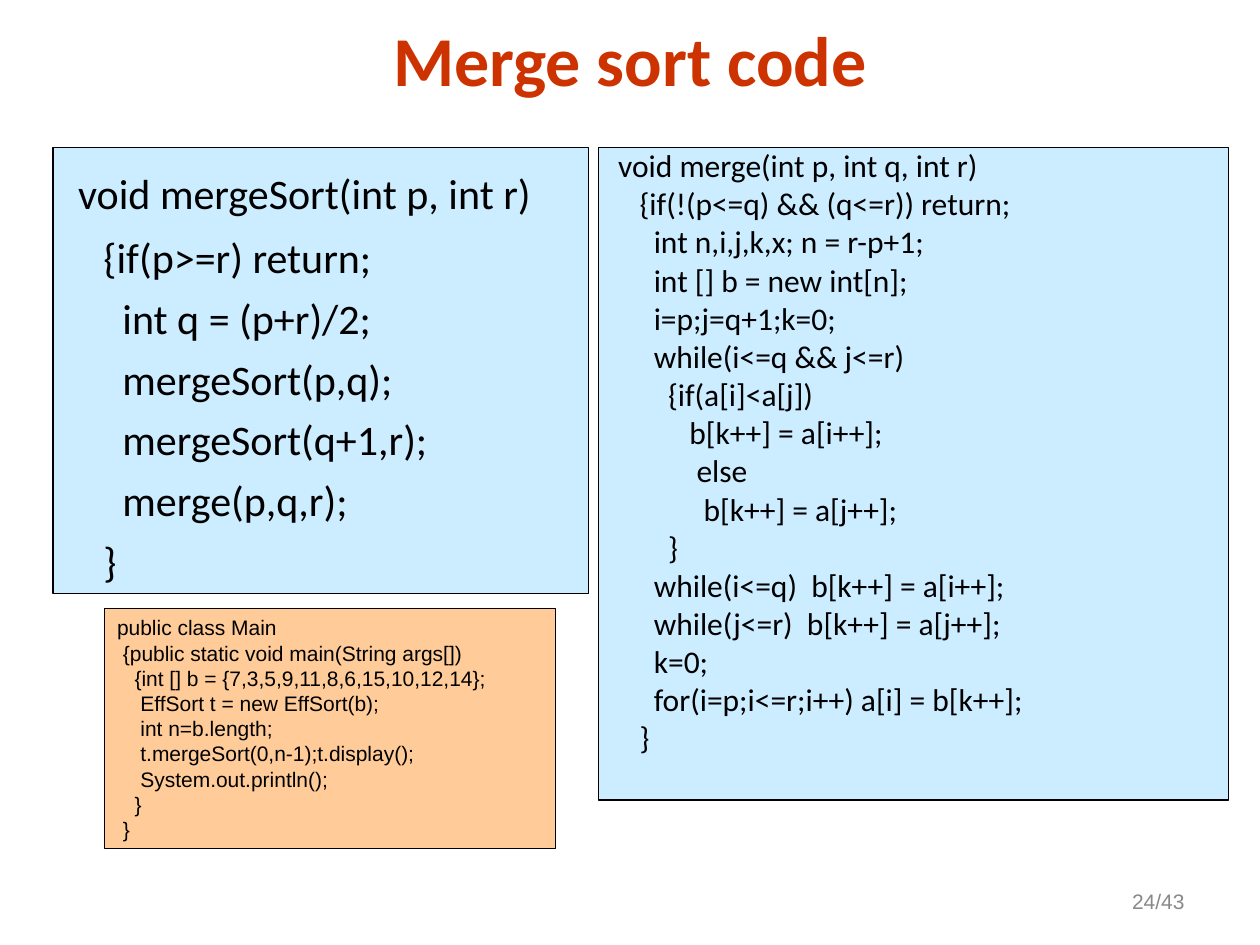
from pptx import Presentation
from pptx.dml.color import RGBColor
from pptx.enum.shapes import MSO_SHAPE
from pptx.enum.text import MSO_ANCHOR, PP_ALIGN
from pptx.util import Cm, Pt

RECTANGLE = MSO_SHAPE.RECTANGLE
TOP, MIDDLE = MSO_ANCHOR.TOP, MSO_ANCHOR.MIDDLE
LEFT, CENTER, RIGHT = PP_ALIGN.LEFT, PP_ALIGN.CENTER, PP_ALIGN.RIGHT

COLORS = {
    "heading": "CC3300",
    "method": "CCECFF",
    "main": "FFCC99",
    "ink": "000000",
    "page": "898989",
}
SPACE_WIDTH = {"Calibri": 0.226, "Arial": 0.278}

MERGE_SORT = """void mergeSort(int p, int r)
    {if(p>=r) return;
      int q = (p+r)/2;
      mergeSort(p,q);
      mergeSort(q+1,r);
      merge(p,q,r);
    }"""

MERGE = """ void merge(int p, int q, int r)
    {if(!(p<=q) && (q<=r)) return;
      int n,i,j,k,x; n = r-p+1;
      int [] b = new int[n];
      i=p;j=q+1;k=0;
      while(i<=q && j<=r)
        {if(a[i]<a[j])
           b[k++] = a[i++];
            else
             b[k++] = a[j++];
        }
      while(i<=q)  b[k++] = a[i++];
      while(j<=r)  b[k++] = a[j++];
      k=0;
      for(i=p;i<=r;i++) a[i] = b[k++];
    }"""

MAIN = """public class Main
 {public static void main(String args[])
   {int [] b = {7,3,5,9,11,8,6,15,10,12,14};
    EffSort t = new EffSort(b);
    int n=b.length;
    t.mergeSort(0,n-1);t.display();
    System.out.println();
   }
 }"""


def color(name):
    return RGBColor.from_string(COLORS[name])


def add_run(paragraph, text, size, font, ink="ink", bold=False):
    run = paragraph.add_run()
    run.text = text
    run.font.size = Pt(size)
    run.font.name = font
    run.font.bold = bold
    run.font.color.rgb = color(ink)


def add_label(slide, box, text, size, font, ink, align, bold=False):
    label = slide.shapes.add_textbox(*map(Cm, box)).text_frame
    label.word_wrap = True
    label.vertical_anchor = MIDDLE
    line = label.paragraphs[0]
    line.alignment = align
    add_run(line, text, size, font, ink, bold)


def add_code_panel(slide, box, code, size, font, fill,
                   before=0, spacing=1.0, lead_size=None):
    panel = slide.shapes.add_shape(RECTANGLE, *map(Cm, box))
    panel.shadow.inherit = False
    panel.fill.solid()
    panel.fill.fore_color.rgb = color(fill)
    panel.line.color.rgb = color("ink")
    panel.line.width = Pt(0.75)
    listing = panel.text_frame
    listing.word_wrap = True
    listing.vertical_anchor = TOP
    for number, statement in enumerate(code.split("\n")):
        line = listing.add_paragraph() if number else listing.paragraphs[0]
        line.alignment = LEFT
        line.space_before = Pt(before)
        line.line_spacing = spacing
        text = statement.lstrip()
        depth = len(statement) - len(text)
        indent = Pt(round(depth * size * SPACE_WIDTH[font], 2))
        line._p.get_or_add_pPr().set("marL", str(indent))
        if lead_size and number == 0:
            add_run(line, " ", lead_size, font)
        add_run(line, text, size, font)


def main():
    deck = Presentation()
    deck.slide_width, deck.slide_height = Cm(25.4), Cm(19.05)
    slide = deck.slides.add_slide(deck.slide_layouts[6])

    add_label(slide, (18.21, 17.65, 5.92, 1.02), "24/43",
              12, "Arial", "page", RIGHT)
    add_code_panel(slide, (12.07, 2.97, 12.7, 13.16), MERGE,
                   18, "Calibri", "method", before=4.5, spacing=0.8)
    add_label(slide, (1.27, 0.2, 22.86, 1.96), "Merge sort code",
              40, "Calibri", "heading", CENTER, bold=True)
    add_code_panel(slide, (2.11, 12.27, 9.09, 4.83), MAIN,
                   12, "Arial", "main")
    add_code_panel(slide, (1.07, 2.97, 10.8, 8.99), MERGE_SORT,
                   24, "Calibri", "method", before=6, lead_size=32)

    deck.save("out.pptx")


if __name__ == "__main__":
    main()
